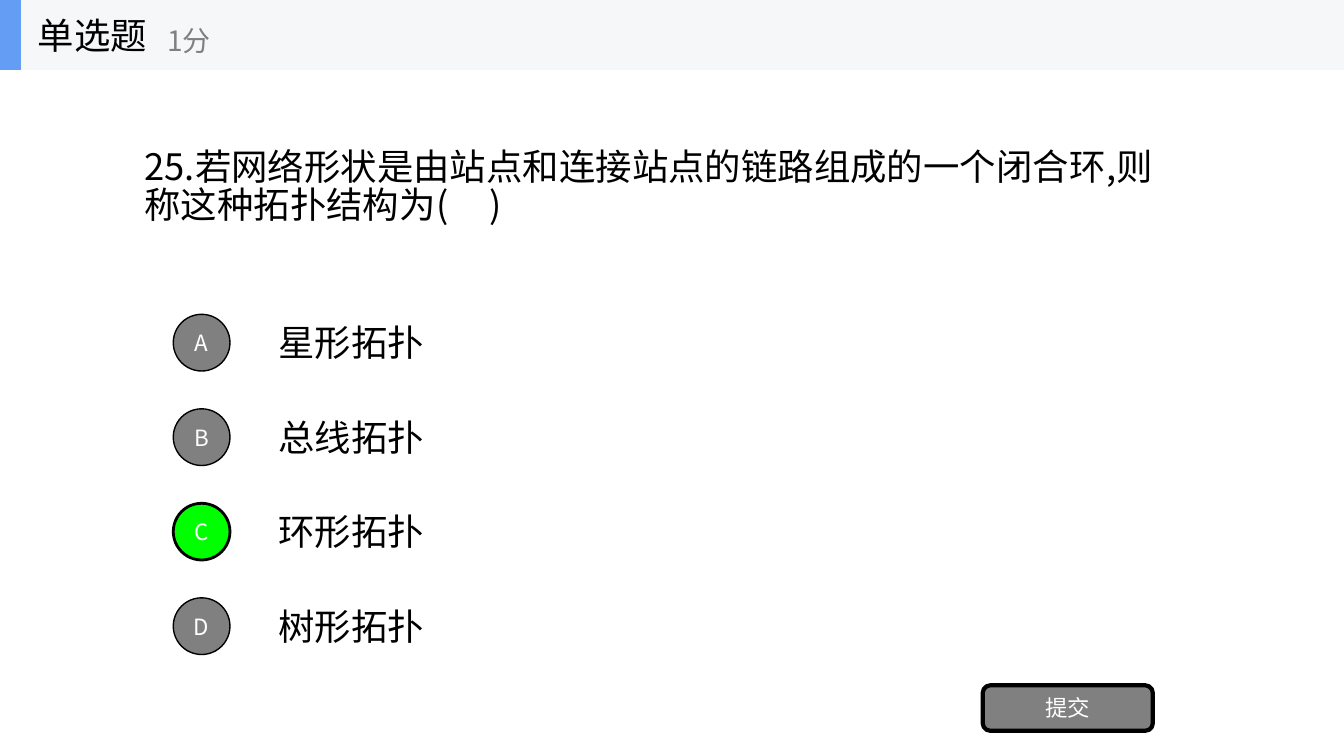
from lxml.etree import SubElement
from pptx import Presentation
from pptx.dml.color import RGBColor
from pptx.enum.shapes import MSO_SHAPE
from pptx.enum.text import MSO_ANCHOR, MSO_AUTO_SIZE, PP_ALIGN
from pptx.oxml.ns import qn
from pptx.util import Pt

FONT = "Noto Sans CJK SC"
COLORS = {
    "ink": "000000",
    "paper": "FFFFFF",
    "muted": "808080",
    "correct": "00FF00",
    "band": "F6F7F8",
    "accent": "639EF4",
}


def color(name):
    return RGBColor.from_string(COLORS[name])


def write(holder, text, size, ink="ink", align=PP_ALIGN.LEFT, spacing=None):
    frame = holder.text_frame
    frame.word_wrap = True
    frame.auto_size = MSO_AUTO_SIZE.NONE
    frame.vertical_anchor = MSO_ANCHOR.MIDDLE
    paragraph = frame.paragraphs[0]
    paragraph.alignment = align
    paragraph.line_spacing = spacing
    run = paragraph.add_run()
    run.text = text
    run.font.size = Pt(size)
    run.font.name = FONT
    run.font.color.rgb = color(ink)
    SubElement(run.font._element, qn("a:ea")).set("typeface", FONT)


def add_label(slide, left, top, width, height, text, size, ink="ink"):
    label = slide.shapes.add_textbox(Pt(left), Pt(top), Pt(width), Pt(height))
    write(label, text, size, ink)


def add_block(slide, kind, left, top, width, height, fill, border=0):
    block = slide.shapes.add_shape(kind, Pt(left), Pt(top), Pt(width), Pt(height))
    block.shadow.inherit = False
    block.fill.solid()
    block.fill.fore_color.rgb = color(fill)
    if border:
        block.line.color.rgb = color("ink")
        block.line.width = Pt(border)
    else:
        block.line.fill.background()
    return block


def add_question(slide, left, top, width, height, text):
    question = slide.shapes.title
    question.left, question.top = Pt(left), Pt(top)
    question.width, question.height = Pt(width), Pt(height)
    write(question, text, 26, spacing=0.86)


def add_options(slide, left, top, pitch, options, answer):
    diameter = 40.5
    for index, (letter, text) in enumerate(options):
        row_top = top + index * pitch
        chosen = letter == answer
        add_label(slide, left + 68, row_top + 1, 120, 38, text, 26)
        badge = add_block(slide, MSO_SHAPE.OVAL, left, row_top, diameter, diameter,
                          "correct" if chosen else "muted", 2 if chosen else 1)
        write(badge, letter, 16, "paper", PP_ALIGN.CENTER)


def add_submit(slide, left, top, width, height):
    submit = add_block(slide, MSO_SHAPE.ROUNDED_RECTANGLE, left, top, width, height, "muted", 3)
    write(submit, "提交", 16, "paper", PP_ALIGN.CENTER)


def add_header(slide, left, top, width, height):
    add_block(slide, MSO_SHAPE.RECTANGLE, left, top, width, height, "band")
    add_block(slide, MSO_SHAPE.RECTANGLE, left, top, 15, height, "accent")
    add_label(slide, left + 20, top, 150, height, "单选题", 26)
    add_label(slide, left + 112.5, top + 9, 180, 40, "1分", 20, "muted")


def main():
    deck = Presentation()
    deck.slide_width, deck.slide_height = Pt(960), Pt(540)
    slide = deck.slides.add_slide(deck.slide_layouts[5])
    add_question(slide, 96, 99.5, 760, 70,
                 "25.若网络形状是由站点和连接站点的链路组成的一个闭合环,则称这种拓扑结构为(     )")
    options = [("A", "星形拓扑"), ("B", "总线拓扑"), ("C", "环形拓扑"), ("D", "树形拓扑")]
    add_options(slide, 123.75, 224.5, 67.5, options, "C")
    add_submit(slide, 702, 489.5, 121.5, 32.5)
    add_header(slide, 0, 0, 960, 50)
    deck.save("out.pptx")


if __name__ == "__main__":
    main()
